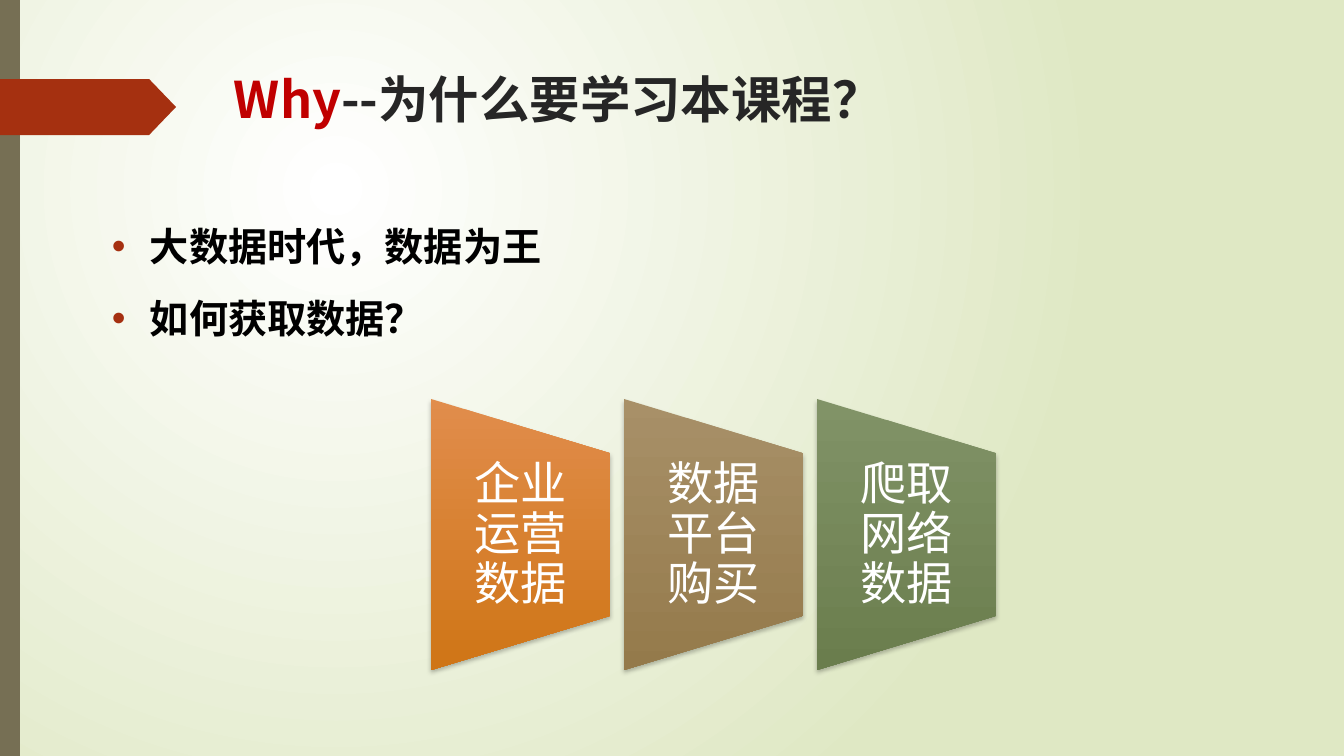
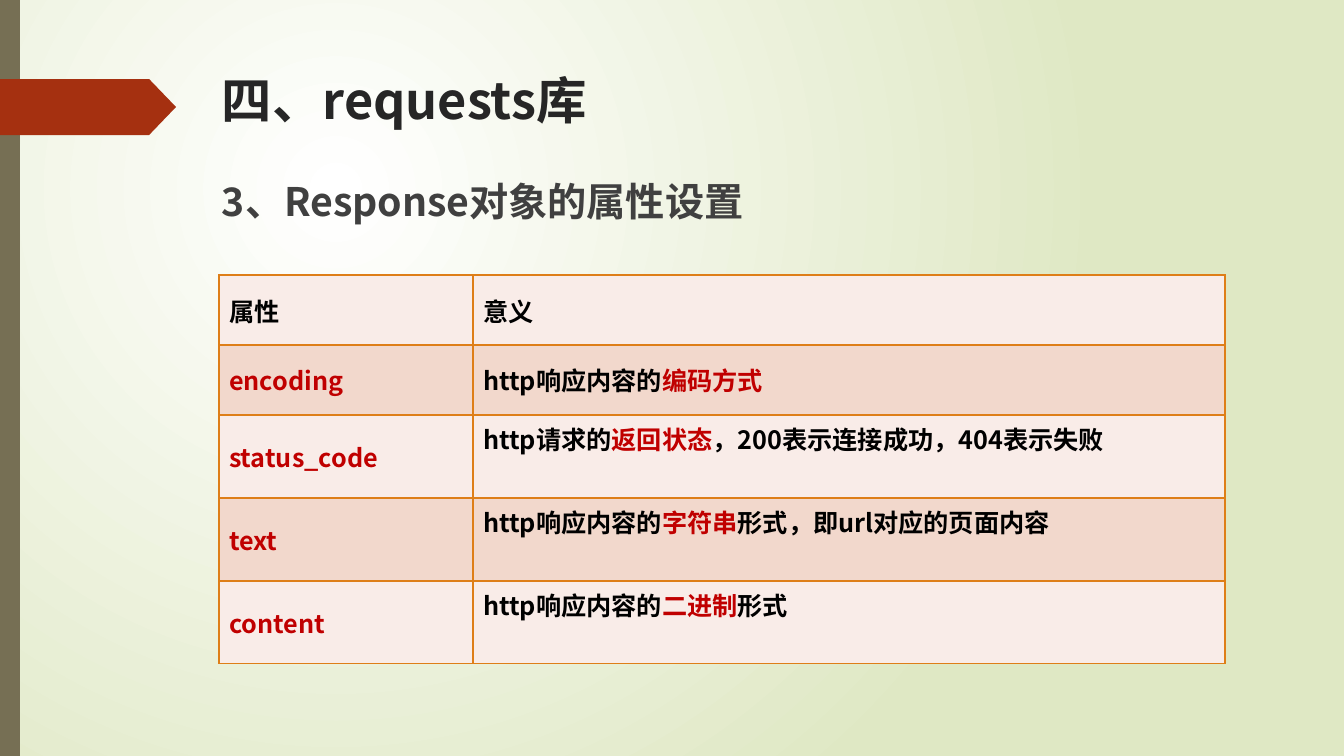
from lxml.etree import SubElement
from pptx import Presentation
from pptx.dml.color import RGBColor
from pptx.enum.shapes import MSO_SHAPE
from pptx.enum.text import MSO_ANCHOR, PP_ALIGN
from pptx.oxml import parse_xml
from pptx.oxml.ns import nsdecls, qn
from pptx.util import Emu, Pt

EMU_PER_PX = 914400 / 100.8
SLIDE_WIDTH, SLIDE_HEIGHT = 1344, 756
CJK_FONT = "Noto Sans CJK SC"
CARD_FONT = "TeX Gyre Adventor"
BLACK, WHITE, RED = "000000", "FFFFFF", "C00000"
TITLE_COLOR, SUBTITLE_COLOR = "262626", "404040"
BAND_COLOR, ACCENT_COLOR = "766F54", "A53010"
BACKGROUND_EDGE = "DFE8C4"
BORDER_COLOR = "DE7E18"
ROW_FILLS = ["F9ECE8", "F2D8CC"]
rgb = RGBColor.from_string


def px(*lengths):
    return [Emu(round(length * EMU_PER_PX)) for length in lengths]


def write(frame, paragraphs, size, font=CJK_FONT, bold=True, align=PP_ALIGN.LEFT,
          line_spacing=None, space_before=0, bullet_color=None):
    """Fill a text frame; each paragraph is a list of (text, colour) runs."""
    frame.word_wrap = True
    for index, runs in enumerate(paragraphs):
        paragraph = frame.add_paragraph() if index else frame.paragraphs[0]
        paragraph.alignment = align
        paragraph.space_before = Pt(space_before)
        if line_spacing:
            paragraph.line_spacing = line_spacing
        if bullet_color:
            properties = paragraph._p.get_or_add_pPr()
            indent = px(38)[0]
            properties.set("marL", str(indent))
            properties.set("indent", str(-indent))
            bullet = SubElement(properties, qn("a:buClr"))
            SubElement(bullet, qn("a:srgbClr"), val=bullet_color)
            SubElement(properties, qn("a:buFont"), typeface="Arial")
            SubElement(properties, qn("a:buChar"), char="•")
        for text, color in runs:
            run = paragraph.add_run()
            run.text = text
            run.font.size = Pt(size)
            run.font.bold = bold
            run.font.color.rgb = rgb(color)
            run.font.name = font
            SubElement(run._r.get_or_add_rPr(), qn("a:ea"), typeface=font)


presentation = Presentation()
presentation.slide_width, presentation.slide_height = px(SLIDE_WIDTH, SLIDE_HEIGHT)

# Shared background: a circular gradient centred in the upper left quarter
master = presentation.slide_master
background = master.background.fill
background.gradient()
for stop, color in zip(background.gradient_stops, [WHITE, BACKGROUND_EDGE]):
    stop.color.rgb = rgb(color)
gradient = next(master._element.iter(qn("a:gradFill")))
gradient.replace(gradient.find(qn("a:lin")), parse_xml(
    f'<a:path {nsdecls("a")} path="circle">'
    '<a:fillToRect l="50000" t="50000" r="100000" b="100000"/></a:path>'))

# Shared band, arrow and title
titles = [
    ((224, 70, 757, 109), [("Why", RED), ("--为什么要学习本课程？", TITLE_COLOR)]),
    ((212, 71, 983, 78), [("四、requests库", TITLE_COLOR)]),
]
decorations = [
    (MSO_SHAPE.RECTANGLE, (0, 0, 20, SLIDE_HEIGHT), BAND_COLOR),
    (MSO_SHAPE.PENTAGON, (0, 79, 176, 56), ACCENT_COLOR),
]
for title_box, title_runs in titles:
    slide = presentation.slides.add_slide(presentation.slide_layouts[6])
    for preset, box, color in decorations:
        shape = slide.shapes.add_shape(preset, *px(*box))
        shape.shadow.inherit = False
        shape.fill.solid()
        shape.fill.fore_color.rgb = rgb(color)
        shape.line.fill.background()
    shape.adjustments[0] = 0.48
    title = slide.shapes.add_textbox(*px(*title_box))
    write(title.text_frame, [title_runs], 36, line_spacing=0.9)
why_slide, requests_slide = presentation.slides

# Slide 1: bullets and three sources of data
body = why_slide.shapes.add_textbox(*px(102, 203, 849, 522))
write(body.text_frame, [[("大数据时代，数据为王", BLACK)], [("如何获取数据？", BLACK)]], 28,
      line_spacing=1.3, space_before=8, bullet_color=ACCENT_COLOR)

CARD_LEFT, CARD_TOP, CARD_WIDTH, CARD_HEIGHT, CARD_GAP = 431, 399, 179, 271, 14
cards = [
    ("企业运营数据", "E18D4C", "CF7516"),
    ("数据平台购买", "A89068", "947A4B"),
    ("爬取网络数据", "819367", "6A7D4D"),
]
for index, (label, top_color, bottom_color) in enumerate(cards):
    left = CARD_LEFT + index * (CARD_WIDTH + CARD_GAP)
    # The preset is turned on its side, so its width is the card's height
    offset = (CARD_HEIGHT - CARD_WIDTH) // 2
    card = why_slide.shapes.add_shape(
        MSO_SHAPE.FLOWCHART_MANUAL_OPERATION,
        *px(left - offset, CARD_TOP + offset, CARD_HEIGHT, CARD_WIDTH))
    card.rotation = 270
    card.line.fill.background()
    card.fill.gradient()
    card.fill.gradient_angle = 270
    for stop, color in zip(card.fill.gradient_stops, [top_color, bottom_color]):
        stop.color.rgb = rgb(color)
    properties = card._element.spPr
    properties.find(qn("a:gradFill")).set("rotWithShape", "0")
    card.shadow.inherit = False
    properties.find(qn("a:effectLst")).append(parse_xml(
        f'<a:outerShdw {nsdecls("a")} blurRad="{Pt(3)}" dist="{Pt(2)}" dir="5400000" '
        f'rotWithShape="0"><a:srgbClr val="{BLACK}"><a:alpha val="25000"/></a:srgbClr>'
        '</a:outerShdw>'))

    frame = why_slide.shapes.add_textbox(*px(left, 454, CARD_WIDTH, 163)).text_frame
    frame.margin_left = frame.margin_right = px(23)[0]
    frame.margin_top = frame.margin_bottom = 0
    frame.vertical_anchor = MSO_ANCHOR.MIDDLE
    write(frame, [[(label, WHITE)]], 33, font=CARD_FONT, bold=False,
          align=PP_ALIGN.CENTER, line_spacing=0.9)

# Slide 2: table of Response attributes
subtitle = requests_slide.shapes.add_textbox(*px(212, 178, 608, 68))
write(subtitle.text_frame, [[("3、Response对象的属性设置", SUBTITLE_COLOR)]], 28,
      line_spacing=0.9)

attributes = [
    ([("属性", BLACK)], [("意义", BLACK)]),
    ([("encoding", RED)], [("http响应内容的", BLACK), ("编码方式", RED)]),
    ([("status_code", RED)], [("http请求的", BLACK), ("返回状态", RED),
                              ("，200表示连接成功，404表示失败", BLACK)]),
    ([("text", RED)], [("http响应内容的", BLACK), ("字符串", RED),
                       ("形式，即url对应的页面内容", BLACK)]),
    ([("content", RED)], [("http响应内容的", BLACK), ("二进制", RED), ("形式", BLACK)]),
]
column_widths = [254, 752]
row_heights = [70, 70, 83, 83, 83]
table = requests_slide.shapes.add_table(
    len(row_heights), len(column_widths),
    *px(219, 275, sum(column_widths), sum(row_heights))).table
table.first_row = table.horz_banding = False
for column, width in zip(table.columns, px(*column_widths)):
    column.width = width
for row_index, (row, height) in enumerate(zip(table.rows, px(*row_heights))):
    row.height = height
    for column_index, cell in enumerate(row.cells):
        is_tall_meaning = row_index >= 2 and column_index == 1
        cell.vertical_anchor = MSO_ANCHOR.TOP if is_tall_meaning else MSO_ANCHOR.MIDDLE
        cell.fill.solid()
        cell.fill.fore_color.rgb = rgb(ROW_FILLS[row_index % 2])
        write(cell.text_frame, [attributes[row_index][column_index]], 18)
        properties = cell._tc.get_or_add_tcPr()
        for position, side in enumerate(["lnL", "lnR", "lnT", "lnB"]):
            properties.insert(position, parse_xml(
                f'<a:{side} {nsdecls("a")} w="{Pt(1)}"><a:solidFill>'
                f'<a:srgbClr val="{BORDER_COLOR}"/></a:solidFill></a:{side}>'))

presentation.save("out.pptx")
